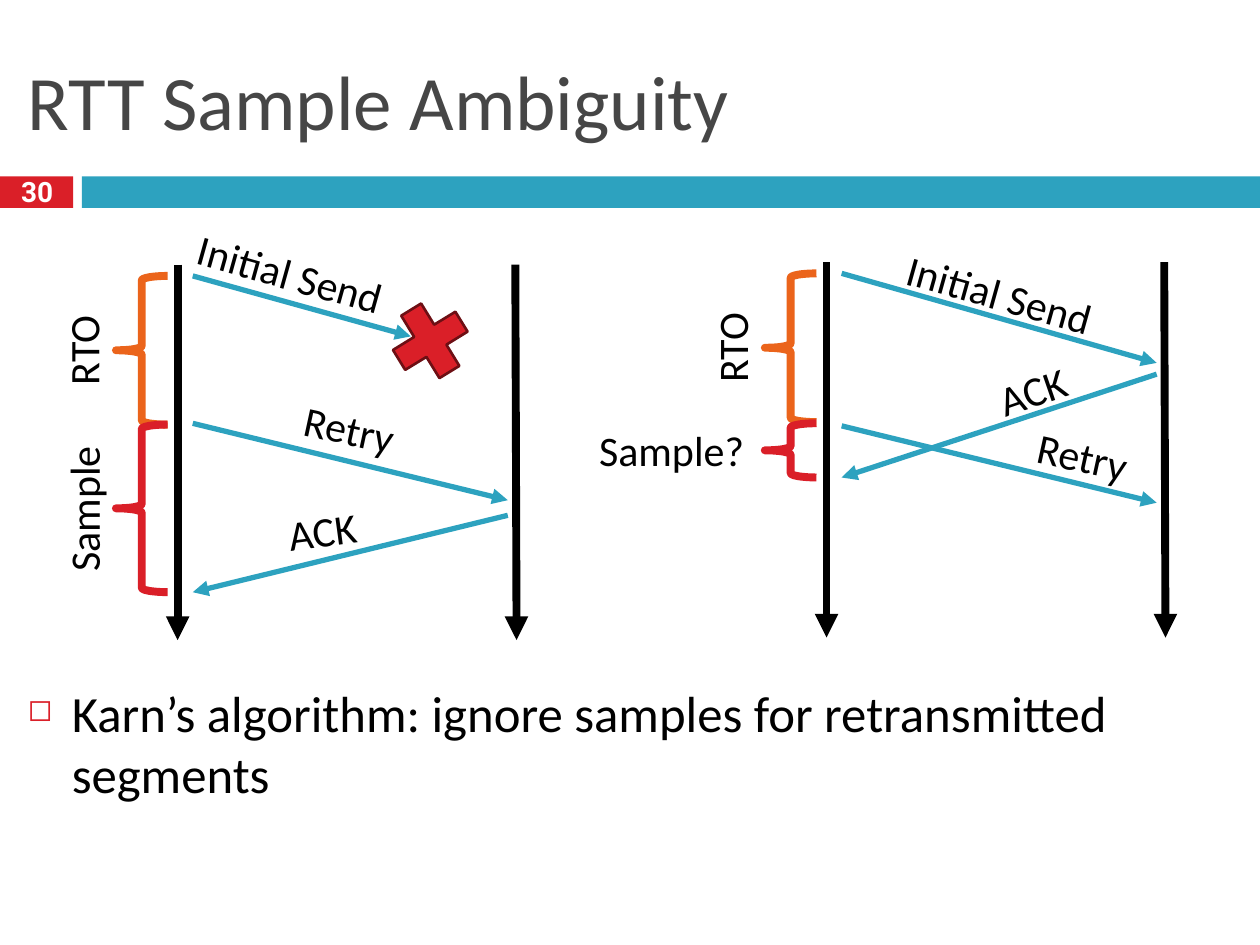
"""Build the RTT sample ambiguity slide with its two timing diagrams."""
from lxml.etree import SubElement
from pptx import Presentation
from pptx.dml.color import RGBColor
from pptx.enum.shapes import MSO_CONNECTOR, MSO_SHAPE
from pptx.enum.text import MSO_ANCHOR, MSO_AUTO_SIZE, PP_ALIGN
from pptx.oxml.ns import qn
from pptx.util import Inches, Pt

BLACK = RGBColor(0x00, 0x00, 0x00)
WHITE = RGBColor(0xFF, 0xFF, 0xFF)
GRAY = RGBColor(0x46, 0x46, 0x46)
TEAL = RGBColor(0x2D, 0xA2, 0xBF)
RED = RGBColor(0xDA, 0x1F, 0x28)
DARK_RED = RGBColor(0x6D, 0x0F, 0x14)
ORANGE = RGBColor(0xEB, 0x64, 0x1B)

TITLE = "RTT Sample Ambiguity"
NUMBER = "30"
CONCLUSION = "Karn\u2019s algorithm: ignore samples for retransmitted segments"
SENDER, RECEIVER = 1.53, 4.03
BRACE_LEFT, BRACE_WIDTH = 0.92, 0.41
LABEL_HEIGHT = 0.48
TIMELINES = [((1.41, 2.1), (1.41, 5.08)), ((4.09, 2.1), (4.1, 5.08))]

# Messages: text, start, end, label left, label top, label width, rotation.
# Braces: text, top, height, colour, label left, label top, label width, rotation.
RTO = ("RTO", 2.19, 1.18, ORANGE, 0.11, 2.54, 1.07, 270)
PANELS = [
    {
        "offset": (0, 0),
        "messages": [
            ("Initial Send", (SENDER, 2.19), (3.26, 2.67), 1.21, 1.92, 2.19, 15.6),
            ("ACK", (RECEIVER, 4.09), (SENDER, 4.7), 2.21, 3.96, 0.69, 352.2),
            ("Retry", (SENDER, 3.36), (RECEIVER, 3.97), 2.22, 3.15, 1.11, 12.3),
        ],
        "braces": [RTO, ("Sample", 3.37, 1.33, RED, -0.08, 3.8, 1.46, 270)],
    },
    {
        "offset": (5.15, -0.02),
        "messages": [
            ("Initial Send", (SENDER, 2.19), (RECEIVER, 2.9), 1.69, 2.1, 2.19, 15.6),
            ("ACK", (RECEIVER, 2.99), (SENDER, 3.81), 2.46, 2.87, 1.16, 341),
            ("Retry", (SENDER, 3.4), (RECEIVER, 4.01), 2.89, 3.39, 1.11, 12.3),
        ],
        "braces": [RTO, ("Sample?", 3.38, 0.43, RED, -0.61, 3.34, 1.58, 0)],
    },
]


def write(shape, text, size, color, font="Calibri", bold=False, align=PP_ALIGN.LEFT,
          anchor=MSO_ANCHOR.TOP, wrap=True):
    frame = shape.text_frame
    frame.auto_size = MSO_AUTO_SIZE.NONE
    frame.word_wrap = wrap
    frame.vertical_anchor = anchor
    frame.margin_left = frame.margin_right = Inches(0.05)
    frame.margin_top = frame.margin_bottom = Inches(0.05)
    paragraph = frame.paragraphs[0]
    paragraph.alignment = align
    run = paragraph.add_run()
    run.text = text
    run.font.size = Pt(size)
    run.font.name = font
    run.font.bold = bold
    run.font.color.rgb = color
    return paragraph


def add_box(slide, left, top, width, height):
    return slide.shapes.add_textbox(Inches(left), Inches(top), Inches(width), Inches(height))


def add_label(slide, text, left, top, width, rotation):
    box = add_box(slide, left, top, width, LABEL_HEIGHT)
    box.rotation = rotation
    write(box, text, 24, BLACK, align=PP_ALIGN.CENTER, wrap=False)


def add_preset(slide, kind, left, top, width, height, fill=None, line=None, weight=0):
    shape = slide.shapes.add_shape(
        kind, Inches(left), Inches(top), Inches(width), Inches(height))
    shape.shadow.inherit = False
    if fill is None:
        shape.fill.background()
    else:
        shape.fill.solid()
        shape.fill.fore_color.rgb = fill
    if line is None:
        shape.line.fill.background()
    else:
        shape.line.color.rgb = line
        shape.line.width = Pt(weight)
    return shape


def add_arrow(slide, start, end, offset, color, weight):
    points = [Inches(value + shift) for point in (start, end)
              for value, shift in zip(point, offset)]
    arrow = slide.shapes.add_connector(MSO_CONNECTOR.STRAIGHT, *points)
    arrow.line.color.rgb = color
    arrow.line.width = Pt(weight)
    SubElement(arrow.line._get_or_add_ln(), qn("a:tailEnd"), type="triangle")
    SubElement(arrow._element.spPr, qn("a:effectLst"))


def add_bullet(paragraph, indent):
    properties = paragraph._p.get_or_add_pPr()
    properties.set("marL", str(Inches(indent)))
    properties.set("indent", str(-Inches(indent)))
    color = SubElement(properties, qn("a:buClr"))
    SubElement(color, qn("a:srgbClr"), val=str(RED))
    SubElement(properties, qn("a:buSzPct"), val="60000")
    SubElement(properties, qn("a:buChar"), char="\u25fb")


def add_panel(slide, panel):
    offset = shift_x, shift_y = panel["offset"]
    for start, end in TIMELINES:
        add_arrow(slide, start, end, offset, BLACK, 4.5)
    for text, start, end, left, top, width, rotation in panel["messages"]:
        add_arrow(slide, start, end, offset, TEAL, 3)
        add_label(slide, text, left + shift_x, top + shift_y, width, rotation)
    for text, brace_top, height, color, left, top, width, rotation in panel["braces"]:
        add_preset(slide, MSO_SHAPE.LEFT_BRACE, BRACE_LEFT + shift_x, brace_top + shift_y,
                   BRACE_WIDTH, height, line=color, weight=4.5)
        add_label(slide, text, left + shift_x, top + shift_y, width, rotation)


presentation = Presentation()
presentation.slide_width, presentation.slide_height = Inches(10), Inches(7.5)
slide = presentation.slides.add_slide(presentation.slide_layouts[5])

title = slide.shapes.title
title.left, title.top = Inches(0.17), Inches(0.25)
title.width, title.height = Inches(9.67), Inches(1.08)
write(title, TITLE, 44, GRAY, anchor=MSO_ANCHOR.MIDDLE)

for left, width, color in [(0, 0.58, RED), (0.65, 9.35, TEAL)]:
    add_preset(slide, MSO_SHAPE.RECTANGLE, left, 1.4, width, 0.25, fill=color)
number = write(add_box(slide, 0.12, 1.37, 0.35, 0.35), NUMBER, 16, WHITE, "Roboto", True,
               PP_ALIGN.CENTER, MSO_ANCHOR.MIDDLE, False)
number.line_spacing = 0.8

conclusion = write(add_box(slide, 0.17, 5.36, 9.67, 1.97), CONCLUSION, 29, BLACK)
conclusion.space_before = Pt(7)
add_bullet(conclusion, 0.35)

for panel in PANELS:
    add_panel(slide, panel)
loss = add_preset(slide, MSO_SHAPE.MATH_MULTIPLY, 3.02, 2.31, 0.79, 0.79, RED, DARK_RED, 1.5)
loss.rotation = 13.5

presentation.save("out.pptx")
